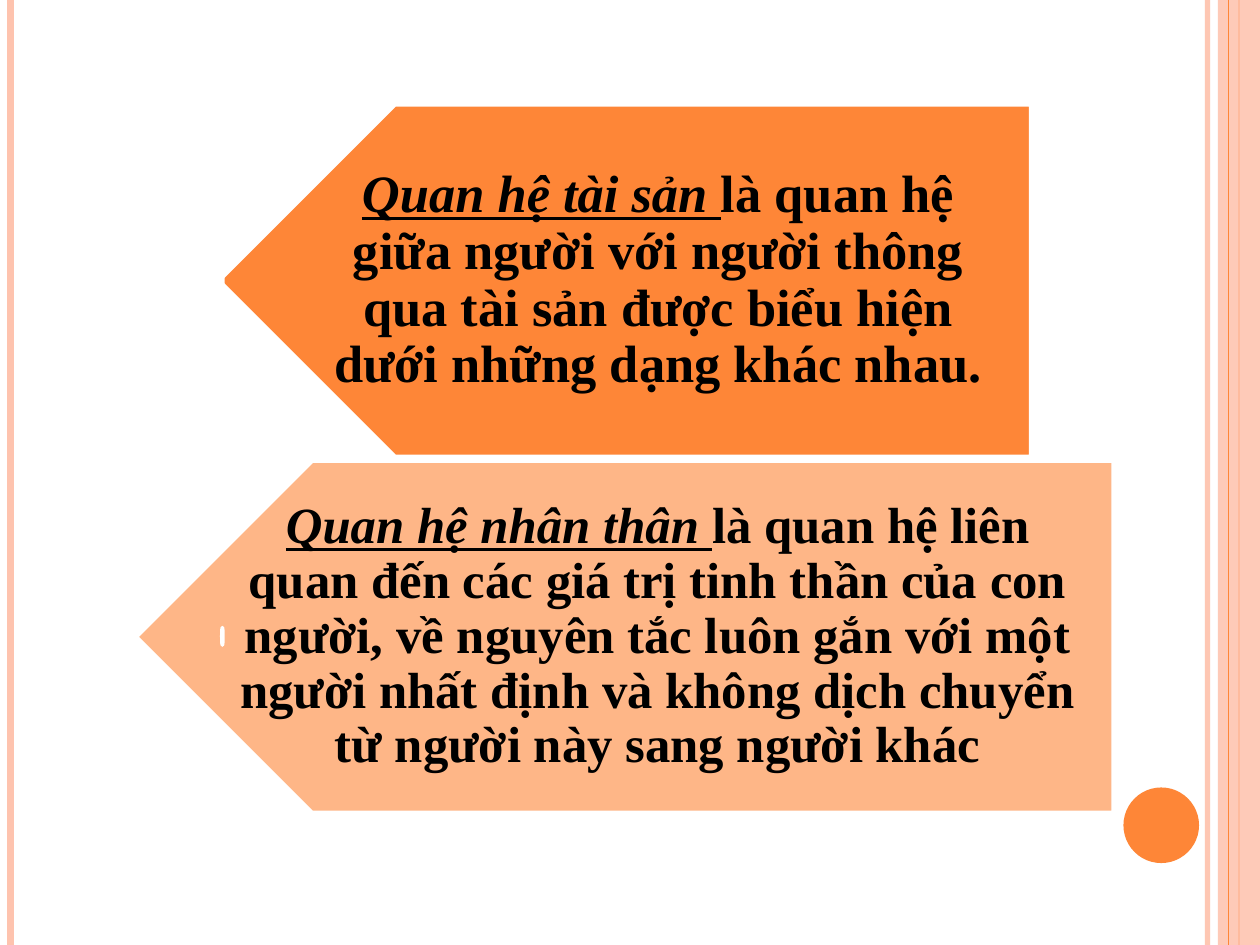
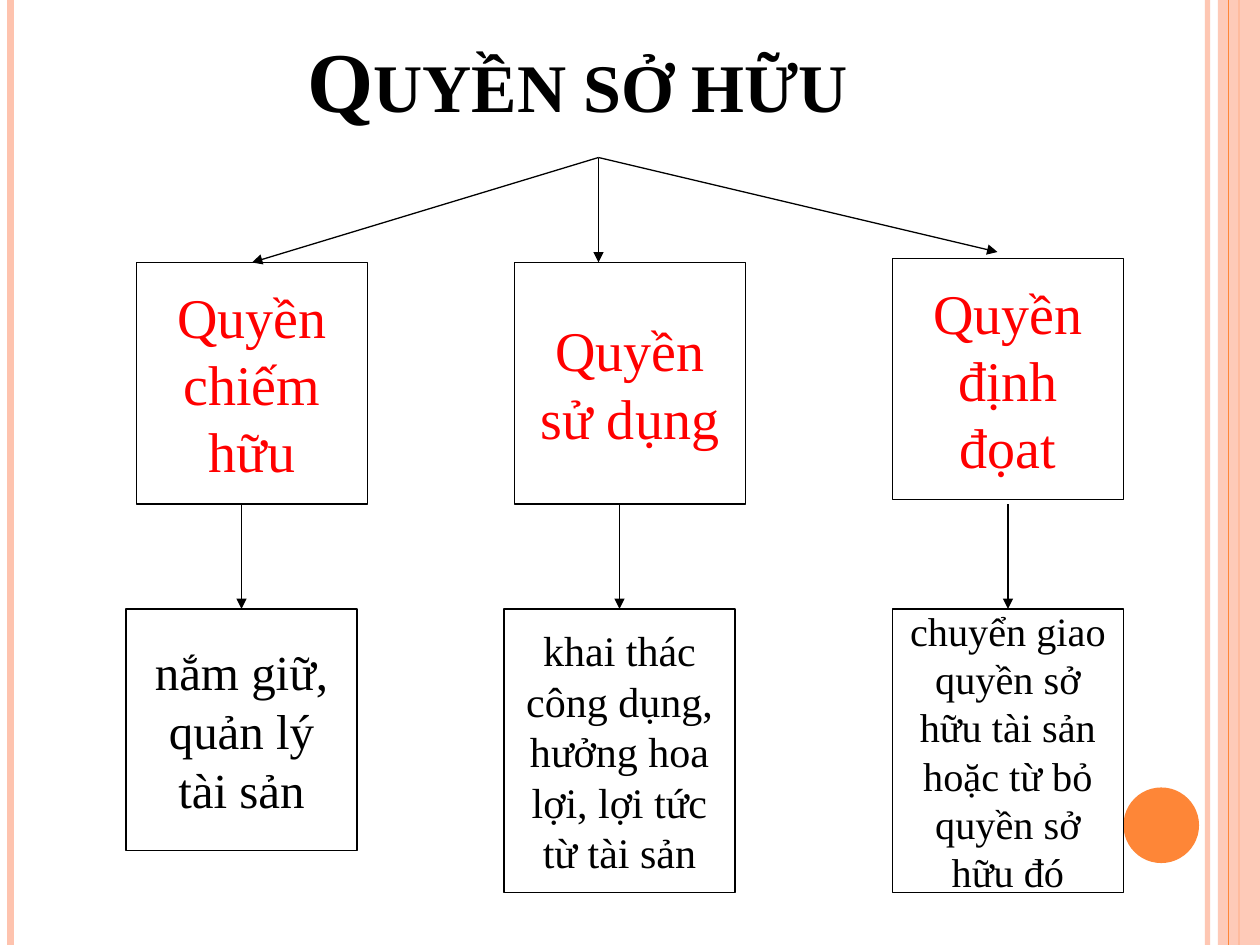
from lxml.etree import SubElement
from pptx import Presentation
from pptx.dml.color import RGBColor
from pptx.enum.shapes import MSO_CONNECTOR, MSO_SHAPE
from pptx.enum.text import MSO_ANCHOR, PP_ALIGN
from pptx.oxml.ns import qn
from pptx.util import Pt

FONT = "Times New Roman"
BLACK, WHITE, RED = "000000", "FFFFFF", "FF0000"
ORANGE, LIGHT_ORANGE, PINK, PALE_PINK = "FE8637", "FEB687", "FEC3AE", "FFCEBF"
WIDTH, HEIGHT = 720, 540


def rgb(value):
    """Turn a hex string into a colour."""
    return RGBColor.from_string(value)


def paint(fill, color, alpha=None):
    """Fill with a solid colour, optionally with an opacity in percent."""
    fill.solid()
    fill.fore_color.rgb = rgb(color)
    if alpha:
        clr = next(fill._xPr.iter(qn("a:srgbClr")))
        SubElement(clr, qn("a:alpha"), val=str(alpha * 1000))


def write(p, text, size=32, color=BLACK, bold=False, italic=False, underline=False, small_caps=False):
    """Add a run of formatted text to a paragraph."""
    r = p.add_run()
    r.text = text
    f = r.font
    f.name, f.size, f.color.rgb = FONT, Pt(size), rgb(color)
    f.bold, f.italic, f.underline = bold, italic, underline
    if small_caps:
        r._r.get_or_add_rPr().set("cap", "small")


class Deck:
    """Holds the presentation, its style and the current slide."""

    def __init__(self):
        """Start an empty presentation."""
        self.prs = Presentation()
        self.prs.slide_width, self.prs.slide_height = Pt(WIDTH), Pt(HEIGHT)

    def slide(self):
        """Add a slide with the side bands and the disc."""
        self.s = self.prs.slides.add_slide(self.prs.slide_layouts[6])
        self.line((690, 0), (690, HEIGHT), PINK, 3, alpha=93)
        self.line((6, 0), (6, HEIGHT), PINK, 4.5)
        self.line((708, 0), (708, HEIGHT), ORANGE, 1.5)
        self.shape(MSO_SHAPE.RECTANGLE, 696, 0, 24, HEIGHT, fill=PINK, alpha=87)
        self.line((702, 0), (702, HEIGHT), ORANGE)
        self.shape(MSO_SHAPE.OVAL, 642, 450, 43.2, 43.2, fill=ORANGE)

    def line(self, start, end, color=BLACK, width=0.75, alpha=None, arrow=False, target=None):
        """Draw a straight line, joined to the top of a target if given."""
        c = self.s.shapes.add_connector(MSO_CONNECTOR.STRAIGHT, *map(Pt, start + end))
        c.line.width = Pt(width)
        paint(c.line.fill, color, alpha)
        if arrow:
            SubElement(c.line._get_or_add_ln(), qn("a:tailEnd"), type="triangle")
        if target is not None:
            c.end_connect(target, 0)
        SubElement(c._element.spPr, qn("a:effectLst"))

    def shape(self, kind, x, y, w, h, fill=None, line=None, width=0.75, alpha=None):
        """Draw a preset shape."""
        sp = self.s.shapes.add_shape(kind, Pt(x), Pt(y), Pt(w), Pt(h))
        sp.shadow.inherit = False
        if fill:
            paint(sp.fill, fill, alpha)
        else:
            sp.fill.background()
        if line:
            paint(sp.line.fill, line)
            sp.line.width = Pt(width)
        else:
            sp.line.fill.background()
        return sp

    def paragraph(self, sp, anchor=MSO_ANCHOR.MIDDLE):
        """Prepare a shape for centred, wrapped text."""
        tf = sp.text_frame
        tf.word_wrap, tf.vertical_anchor = True, anchor
        p = tf.paragraphs[0]
        p.alignment = PP_ALIGN.CENTER
        return p

    def textbox(self, x, y, w, h, anchor=MSO_ANCHOR.MIDDLE):
        """Add a text box and return it with its paragraph."""
        sp = self.s.shapes.add_textbox(Pt(x), Pt(y), Pt(w), Pt(h))
        return sp, self.paragraph(sp, anchor)

    def title(self, text):
        """Add the slide title."""
        _, p = self.textbox(36, 21.6, 588, 56.2, MSO_ANCHOR.BOTTOM)
        write(p, text, size=48.6, bold=True, small_caps=True)

    def box(self, x, y, h, text, **fmt):
        """Add an outlined box with text."""
        sp = self.shape(MSO_SHAPE.RECTANGLE, x, y, 132, h, line=BLACK)
        write(self.paragraph(sp), text, **fmt)
        return sp

    def definition(self, x, y, w, fill, dot_y, term, meaning, size):
        """Add a left-pointing arrow that defines a term."""
        h, indent = 200.8, 50.2
        sp = self.shape(MSO_SHAPE.PENTAGON, x, y, w, h, fill=fill, line=WHITE, width=2)
        sp.rotation = 180
        sp, p = self.textbox(x + indent, y, w - indent, h)
        tf = sp.text_frame
        tf.margin_left, tf.margin_right = Pt(4.3), Pt(16.5)
        tf.margin_top = tf.margin_bottom = Pt(8.6)
        p.line_spacing = 0.9
        write(p, term, size=size, bold=True, italic=True, underline=True)
        write(p, " ", size=size, bold=True, underline=True)
        write(p, meaning, size=size, bold=True)
        self.shape(MSO_SHAPE.OVAL, 126.7, dot_y, 0.7, 10, fill=PALE_PINK, line=WHITE, width=2)


def main():
    """Build both slides."""
    deck = Deck()

    deck.slide()
    deck.definition(125.3, 60, 463.6, ORANGE, 155.5, "Quan hệ tài sản",
                    "là quan hệ giữa người với người thông qua tài sản "
                    "được biểu hiện dưới những dạng khác nhau.", 30)
    deck.definition(78, 263.5, 558, LIGHT_ORANGE, 358.6, "Quan hệ nhân thân",
                    "là quan hệ liên quan đến các giá trị tinh thần của con người, "
                    "về nguyên tắc luôn gắn với một người nhất định "
                    "và không dịch chuyển từ người này sang người khác", 29)

    deck.slide()
    deck.title("Quyền sở hữu")
    rights = [(78, 150, "Quyền chiếm hữu"), (294, 150, "Quyền sử dụng"),
              (510, 147.6, "Quyền định đọat")]
    possess, _, _ = [deck.box(x, y, 138, text, color=RED) for x, y, text in rights]
    for end, target in [((144, 150), possess), ((342, 150), None), ((570, 144), None)]:
        deck.line((342, 90), end, arrow=True, target=target)

    contents = [(72, 138, "nắm giữ, quản lý tài sản", 28),
                (288, 162, "khai thác công dụng, hưởng hoa lợi, lợi tức từ tài sản", 24),
                (510, 162, "chuyển giao quyền sở hữu tài sản hoặc từ bỏ quyền sở hữu đó", 23)]
    for x, h, text, size in contents:
        sp = deck.box(x, 348, h, text, size=size)
        deck.line((x + 66, 288), (x + 66, 348), arrow=True, target=sp)

    deck.prs.save("out.pptx")


if __name__ == "__main__":
    main()
